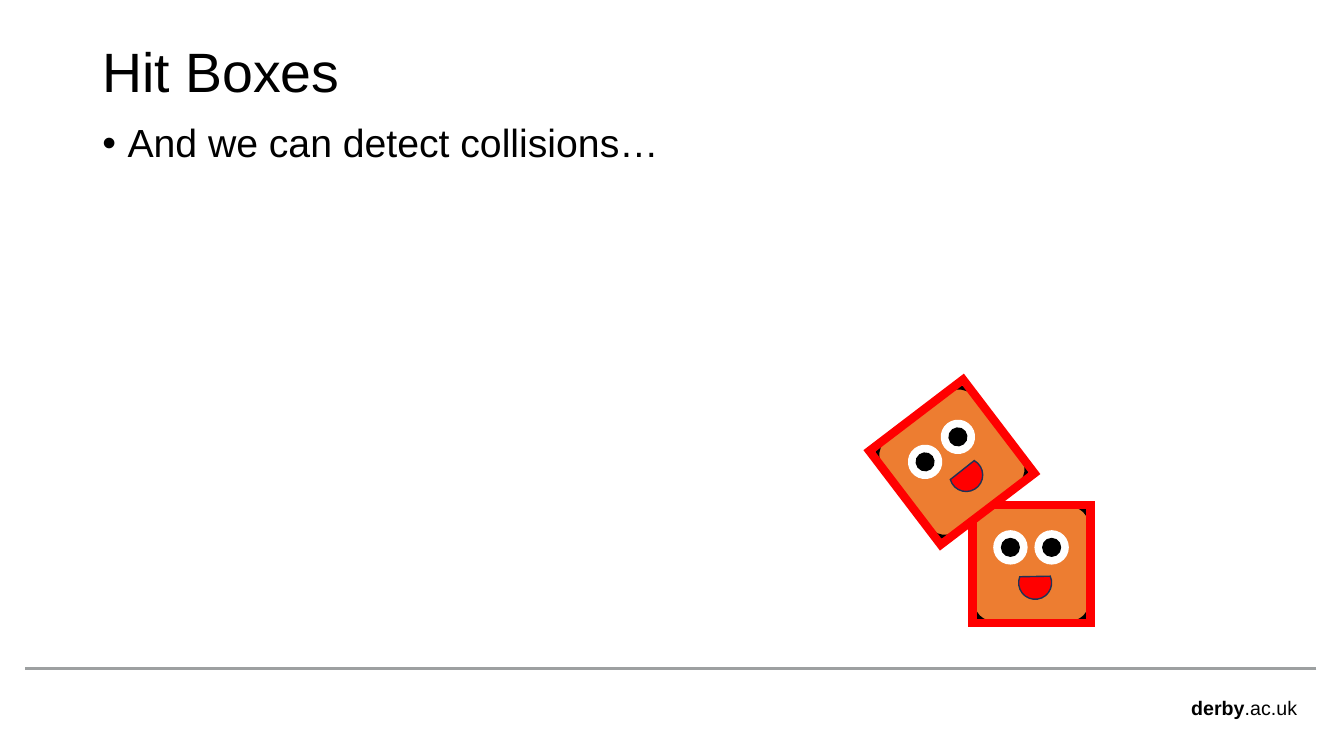
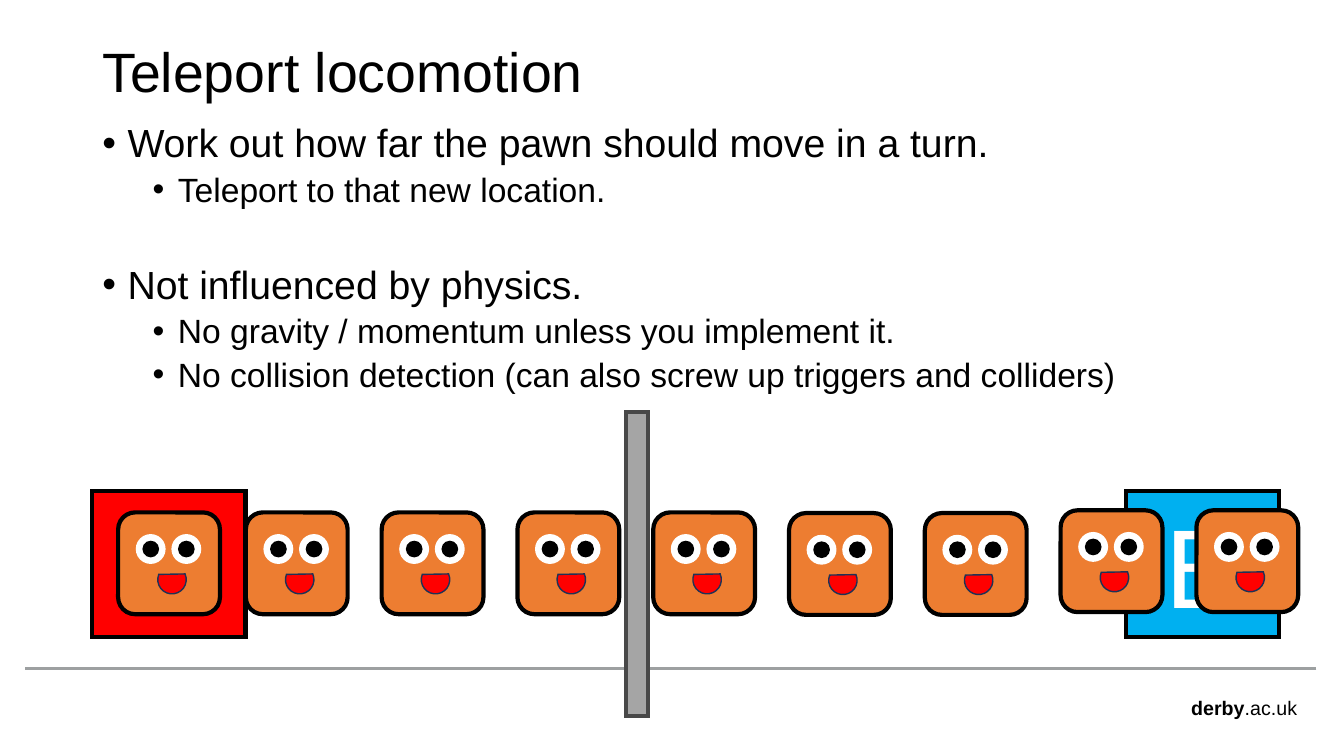
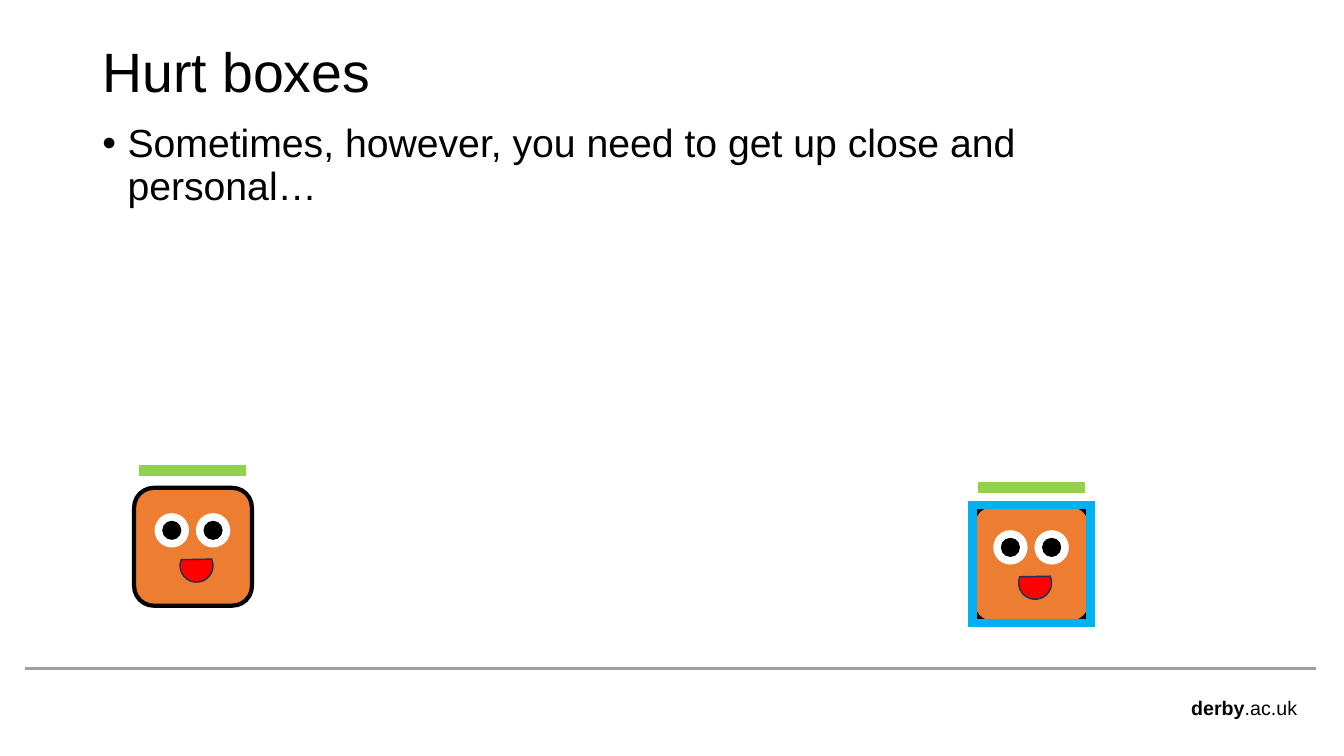
from dataclasses import dataclass

from lxml.etree import SubElement
from pptx import Presentation
from pptx.dml.color import RGBColor
from pptx.enum.shapes import MSO_CONNECTOR as Connector, MSO_SHAPE as Preset
from pptx.enum.text import MSO_ANCHOR as Anchor, PP_ALIGN as Align
from pptx.oxml.ns import qn
from pptx.util import Pt


@dataclass(frozen=True)
class Theme:
    font: str = "Arial"
    # Colours
    black: str = "000000"
    white: str = "FFFFFF"
    red: str = "FF0000"
    blue: str = "00B0F0"
    green: str = "92D050"
    orange: str = "ED7D31"
    mouth_edge: str = "1E3256"
    wall: str = "A5A5A5"
    wall_edge: str = "484848"
    rule: str = "9DA0A1"
    # Type sizes
    title_size: float = 39.6
    body_sizes: tuple = (28, 24)
    footer_size: float = 14
    marker_size: float = 80


class Slides:
    def __init__(self, theme):
        self.theme = theme
        self.deck = Presentation()
        self.deck.slide_width, self.deck.slide_height = Pt(960), Pt(540)
        self.page = None

    def style(self, span, size, color=None, bold=False):
        font = span.font
        font.name, font.size, font.bold = self.theme.font, Pt(size), bold
        font.color.rgb = RGBColor.from_string(color or self.theme.black)

    def text_box(self, left, top, width, height):
        box = self.page.shapes.add_textbox(Pt(left), Pt(top), Pt(width), Pt(height))
        box.text_frame.word_wrap = True
        return box.text_frame

    def new_page(self, title):
        """Start a slide with the shared rule, footer and title."""
        theme = self.theme
        self.page = self.deck.slides.add_slide(self.deck.slide_layouts[6])

        rule = self.page.shapes.add_connector(
            Connector.STRAIGHT, Pt(940.3), Pt(477.4), Pt(18), Pt(477.4))
        rule.line.color.rgb = RGBColor.from_string(theme.rule)
        rule.line.width = Pt(2)
        SubElement(rule._element.spPr, qn("a:effectLst"))

        footer = self.text_box(843.8, 493.2, 94.3, 24.5).paragraphs[0]
        footer.text = "derby"
        footer.add_run().text = ".ac.uk"
        for span, bold in zip(footer.runs, (True, False)):
            self.style(span, theme.footer_size, bold=bold)

        frame = self.text_box(66, 28.8, 793.5, 49)
        frame.vertical_anchor = Anchor.MIDDLE
        frame.text = title
        frame.paragraphs[0].line_spacing = 0.9
        self.style(frame.paragraphs[0].runs[0], theme.title_size)

    def bullets(self, items, height=387.4):
        """Add (level, space before, text) items as a bulleted body."""
        frame = self.text_box(66, 85, 793.5, height)
        for index, (level, space, text) in enumerate(items):
            para = frame.paragraphs[0] if index == 0 else frame.add_paragraph()
            para.text = text
            properties = para._p.get_or_add_pPr()
            properties.set("marL", str(Pt(18 + 36 * level)))
            properties.set("indent", str(Pt(-18)))
            SubElement(properties, qn("a:buFont"), typeface=self.theme.font)
            SubElement(properties, qn("a:buChar"), char="•")
            para.level, para.line_spacing, para.space_before = level, 0.9, Pt(space)
            self.style(para.runs[0], self.theme.body_sizes[level])

    def shape(self, preset, left, top, width, height, fill, edge, weight=1,
              rotation=0, parent=None):
        """Add a preset shape; a fill of None leaves it hollow."""
        shapes = (parent or self.page).shapes
        shape = shapes.add_shape(preset, Pt(left), Pt(top), Pt(width), Pt(height))
        shape.shadow.inherit = False
        shape.rotation = rotation
        if fill:
            shape.fill.solid()
            shape.fill.fore_color.rgb = RGBColor.from_string(fill)
        else:
            shape.fill.background()
        shape.line.color.rgb = RGBColor.from_string(edge)
        shape.line.width = Pt(weight)
        SubElement(shape.line._get_or_add_ln(), qn("a:miter"), lim="800000")
        return shape

    def marker(self, left, letter, fill):
        box = self.shape(Preset.RECTANGLE, left, 350.6, 109.4, 104.4,
                         fill, self.theme.black, 3)
        frame = box.text_frame
        frame.vertical_anchor = Anchor.MIDDLE
        frame.text = letter
        frame.paragraphs[0].alignment = Align.CENTER
        self.style(frame.paragraphs[0].runs[0], self.theme.marker_size, self.theme.white)

    def pawn(self, left, top, size=84.2, rotation=0):
        """Add a box-faced pawn; features are placed as shares of its size."""
        theme = self.theme
        pawn = self.page.shapes.add_group_shape()

        def feature(preset, x, y, share, fill, edge, weight=1, turn=0):
            side = share * size
            self.shape(preset, left + x * size - side / 2, top + y * size - side / 2,
                       side, side, fill, edge, weight, turn, pawn)

        feature(Preset.ROUNDED_RECTANGLE, 0.5, 0.5, 1, theme.orange, theme.black, 3)
        for eye in (0.32, 0.67):
            feature(Preset.OVAL, eye, 0.36, 0.28, theme.white, theme.white)
            feature(Preset.OVAL, eye, 0.36, 0.15, theme.black, theme.black)
        feature(Preset.CHORD, 0.53, 0.66, 0.28, theme.red, theme.mouth_edge, turn=291.4)
        pawn.rotation = rotation

    def hit_box(self, left, top, color, rotation=0):
        self.shape(Preset.RECTANGLE, left, top, 84.2, 84.2, None, color, 6, rotation)

    def health_bar(self, pawn_left, pawn_top):
        for offset in (4.3, 29.3):
            self.shape(Preset.RECTANGLE, pawn_left + offset, pawn_top - 15.8, 50.4, 6.5,
                       self.theme.green, self.theme.green)


def main():
    theme = Theme()
    slides = Slides(theme)
    right_pawn, left_pawn = (694.8, 360.7), (95.8, 348.5)

    # Hit boxes: two pawns touching
    slides.new_page("Hit Boxes")
    slides.bullets([(0, 0, "And we can detect collisions…")])
    for left, top, rotation in ((*right_pawn, 0), (637.9, 288, 322.7)):
        slides.pawn(left, top, rotation=rotation)
        slides.hit_box(left, top, theme.red, rotation)

    # Teleport: one pawn stepping from A to B through a wall
    slides.new_page("Teleport locomotion")
    slides.marker(66, "A", theme.red)
    slides.marker(804.2, "B", theme.blue)
    slides.bullets([
        (0, 0, "Work out how far the pawn should move in a turn."),
        (1, 5, "Teleport to that new location."),
        (0, 40, "Not influenced by physics."),
        (1, 5, "No gravity / momentum unless you implement it."),
        (1, 5, "No collision detection (can also screw up triggers and colliders)"),
    ], height=254.9)
    slides.pawn(84.4, 366, size=72.7)
    step_tops = [366] * 4 + [366.5] * 2 + [364.5] * 2
    for step, top in enumerate(step_tops):
        slides.pawn(175.6 + 97 * step, top, size=72.7)
    slides.shape(Preset.RECTANGLE, 447.1, 294.5, 15.8, 216.7,
                 theme.wall, theme.wall_edge, 3)

    # Hurt boxes: two pawns with health bars
    slides.new_page("Hurt boxes")
    slides.bullets([(0, 0, "Sometimes, however, you need to get up close and personal…")])
    slides.pawn(*right_pawn)
    slides.hit_box(*right_pawn, theme.blue)
    slides.health_bar(*right_pawn)
    slides.pawn(*left_pawn)
    slides.health_bar(*left_pawn)

    slides.deck.save("out.pptx")


if __name__ == "__main__":
    main()
